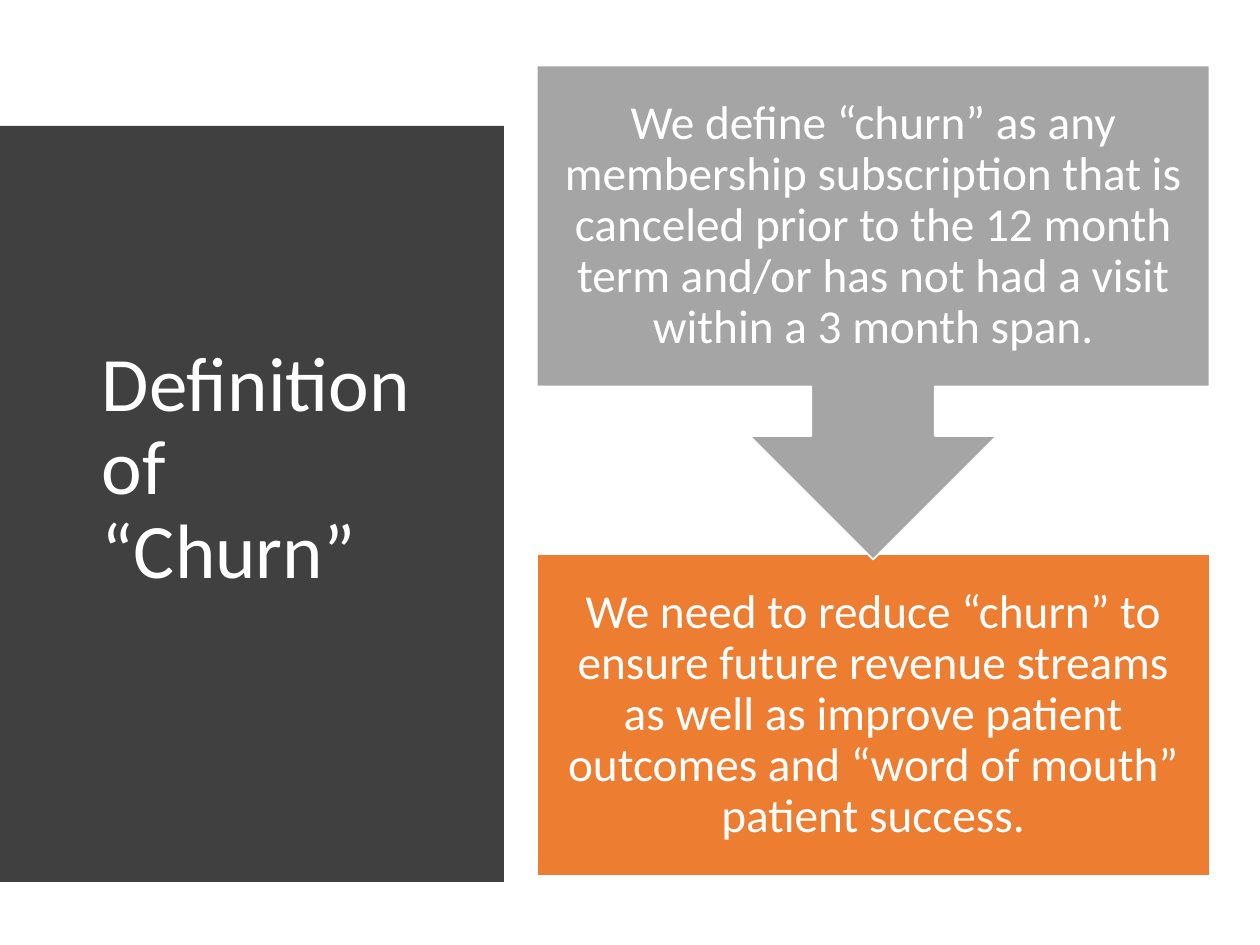
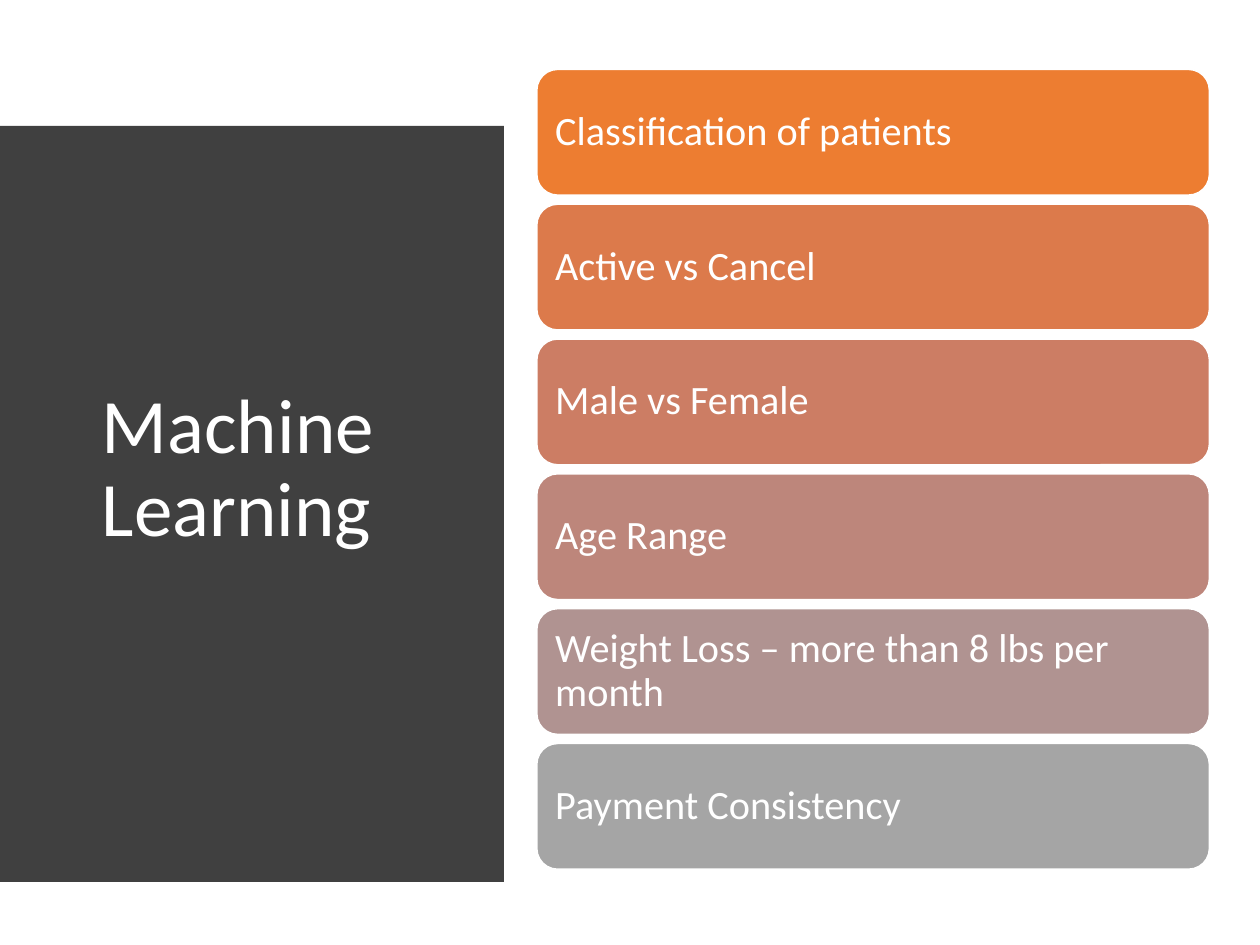
from pptx import Presentation
from pptx.dml.color import RGBColor
from pptx.enum.shapes import MSO_SHAPE as Shape
from pptx.enum.text import MSO_ANCHOR as Anchor, PP_ALIGN as Align
from pptx.util import Inches, Pt

FONT = "Calibri"
WHITE, CHARCOAL, ORANGE, GRAY = "FFFFFF", "404040", "ED7D31", "A5A5A5"
CARD_LEFT, CARD_WIDTH = 4.26, 5.34
DEFINITION = ("We define “churn” as any membership subscription that is canceled prior "
              "to the 12 month term and/or has not had a visit within a 3 month span.")
GOAL = ("We need to reduce “churn” to ensure future revenue streams as well as "
        "improve patient outcomes and “word of mouth” patient success.")
FEATURES = [
    ("Classification of patients", ORANGE),
    ("Active vs Cancel", "DC7A4B"),
    ("Male vs Female", "CC7D64"),
    ("Age Range", "BD867B"),
    ("Weight Loss – more than 8 lbs per month", "B09391"),
    ("Payment Consistency", GRAY),
]


def color(value):
    """Turn a hex string into a colour."""
    return RGBColor.from_string(value)


class Deck:
    """Holds the shared style and the current page."""

    def __init__(self):
        """Start an empty 4:3 presentation."""
        self.deck = Presentation()
        self.deck.slide_width, self.deck.slide_height = Inches(10), Inches(7.5)
        self.page = None

    def add_page(self, title):
        """Add a page with the curved title panel."""
        self.page = self.deck.slides.add_slide(self.deck.slide_layouts[6])
        self.panel()
        box = self.page.shapes.add_textbox(Inches(0.71), Inches(1.11), Inches(2.8), Inches(5.24))
        self.label(box, title, 44)

    def panel(self, left=0.4, top=0.52, edge=3.81, height=6.44, bulge=0.18, steps=40):
        """Draw the dark panel whose right edge bulges as a parabola."""
        curve = []
        for step in range(steps + 1):
            offset = 2 * step / steps - 1
            curve.append((edge + bulge * (1 - offset ** 2), top + height * step / steps))
        builder = self.page.shapes.build_freeform(left, top, scale=Inches(1))
        builder.add_line_segments(curve + [(left, top + height)], close=True)
        panel = builder.convert_to_shape()
        self.paint(panel, CHARCOAL)
        panel.line.fill.background()

    def paint(self, shape, fill):
        """Give a shape a flat fill without shadow."""
        shape.shadow.inherit = False
        shape.fill.solid()
        shape.fill.fore_color.rgb = color(fill)

    def label(self, box, text, size, align=Align.LEFT, inset=None):
        """Put white, vertically centred text in a box."""
        frame = box.text_frame
        frame.word_wrap = True
        frame.vertical_anchor = Anchor.MIDDLE
        if inset is not None:
            frame.margin_left = frame.margin_right = Inches(inset)
            frame.margin_top = frame.margin_bottom = Inches(inset)
        frame.text = text
        para = frame.paragraphs[0]
        para.alignment, para.line_spacing = align, 0.9
        for span in para.runs:
            span.font.name, span.font.size = FONT, Pt(size)
            span.font.color.rgb = color(WHITE)

    def card(self, kind, top, height, fill, text, size, align, inset):
        """Add a filled card with text in the right column."""
        card = self.page.shapes.add_shape(
            kind, Inches(CARD_LEFT), Inches(top), Inches(CARD_WIDTH), Inches(height))
        self.paint(card, fill)
        card.line.color.rgb = color(WHITE)
        card.line.width = Pt(1)
        self.label(card, text, size, align, inset)


def main():
    """Build both pages and save the deck."""
    deck = Deck()

    deck.add_page("Definition of “Churn”")
    deck.card(Shape.RECTANGLE, 4.4, 2.55, ORANGE, GOAL, 27, Align.CENTER, 0.21)
    deck.card(Shape.DOWN_ARROW_CALLOUT, 0.52, 3.92, GRAY, DEFINITION, 27, Align.CENTER, 0.21)

    deck.add_page("Machine Learning")
    for row, (feature, fill) in enumerate(FEATURES):
        deck.card(Shape.ROUNDED_RECTANGLE, 0.55 + 1.07 * row, 1, fill, feature, 23,
                  Align.LEFT, 0.1)

    deck.deck.save("out.pptx")


if __name__ == "__main__":
    main()
